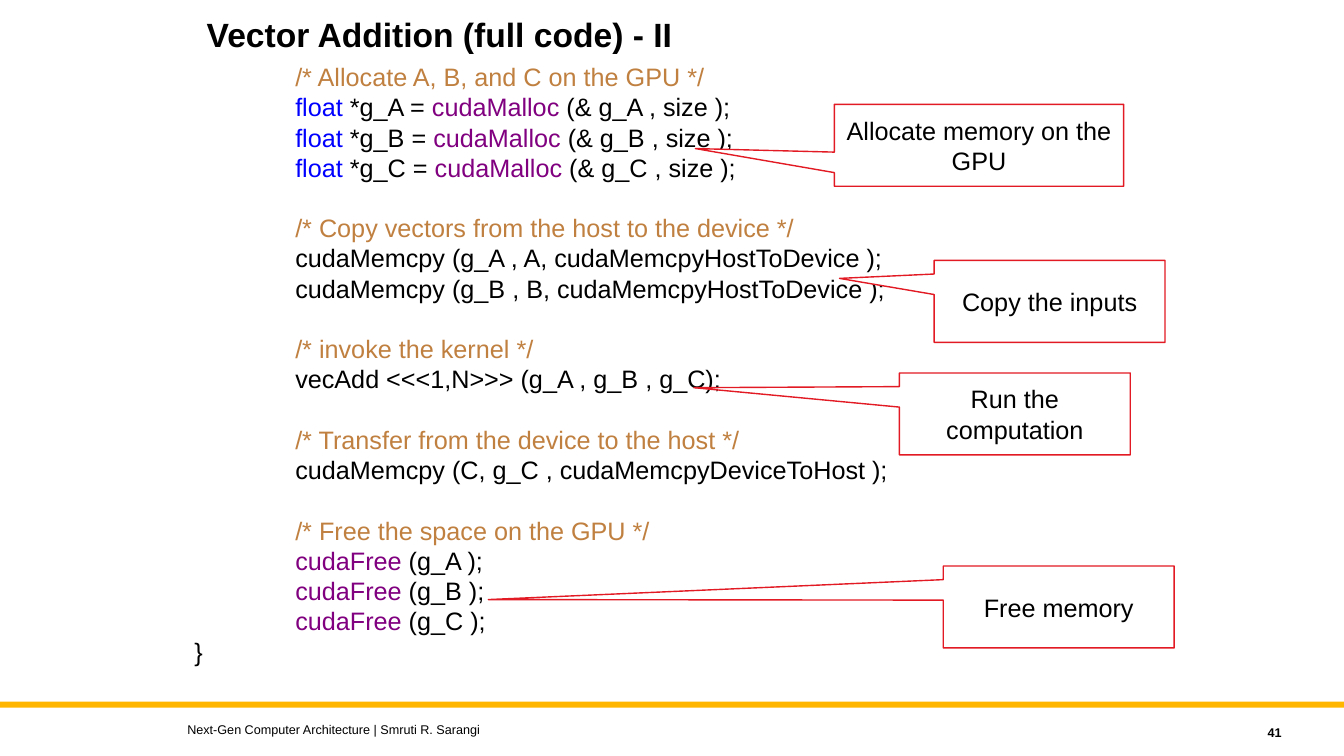
from lxml.etree import SubElement
from pptx import Presentation
from pptx.dml.color import RGBColor
from pptx.enum.shapes import MSO_SHAPE as Shape
from pptx.enum.text import MSO_ANCHOR as Anchor, MSO_AUTO_SIZE as AutoSize, PP_ALIGN as Align
from pptx.oxml.ns import qn
from pptx.util import Inches, Pt

BLACK = RGBColor(0x00, 0x00, 0x00)
WHITE = RGBColor(0xFF, 0xFF, 0xFF)
AMBER = RGBColor(0xFF, 0xB6, 0x00)
RED = RGBColor(0xE2, 0x1A, 0x23)
COMMENT = RGBColor(0xC0, 0x80, 0x40)
KEYWORD = RGBColor(0x00, 0x00, 0xFF)
FUNCTION = RGBColor(0x80, 0x00, 0x80)

CODE_LINE = 21.6
CODE_TAB = Inches(1)


def add_span(para, text, size=18, color=BLACK, bold=False, font="Arial"):
    span = para.add_run()
    span.text = text
    span.font.name = font
    span.font.size = Pt(size)
    span.font.bold = bold
    span.font.color.rgb = color


def add_tab_stop(para, position):
    stops = SubElement(para._p.get_or_add_pPr(), qn("a:tabLst"))
    SubElement(stops, qn("a:tab"), pos=str(position), algn="l")


class SlideBuilder:
    cell = Inches(0.1)

    def __init__(self, deck):
        self.page = deck.slides.add_slide(deck.slide_layouts[5])

    def grid(self, *lengths):
        return [round(length * self.cell) for length in lengths]

    def title(self, text, area):
        box = self.page.shapes.title
        box.left, box.top, box.width, box.height = self.grid(*area)
        frame = box.text_frame
        frame.word_wrap = True
        frame.auto_size = AutoSize.NONE
        frame.vertical_anchor = Anchor.TOP
        para = frame.paragraphs[0]
        para.alignment = Align.LEFT
        para.line_spacing = 0.9
        add_span(para, text, size=24, bold=True)

    def text_frame(self, area, anchor=Anchor.TOP):
        frame = self.page.shapes.add_textbox(*self.grid(*area)).text_frame
        frame.word_wrap = True
        frame.vertical_anchor = anchor
        return frame

    def label(self, text, area, align=Align.LEFT, **style):
        para = self.text_frame(area, Anchor.MIDDLE).paragraphs[0]
        para.alignment = align
        add_span(para, text, **style)

    def shape(self, kind, area, fill, line=None):
        box = self.page.shapes.add_shape(kind, *self.grid(*area))
        box.shadow.inherit = False
        box.fill.solid()
        box.fill.fore_color.rgb = fill
        if line is None:
            box.line.fill.background()
        else:
            box.line.color.rgb = line
            box.line.width = Pt(1)
        return box

    def callout(self, text, area, tip):
        box = self.shape(Shape.RECTANGULAR_CALLOUT, area, WHITE, RED)
        box.adjustments[0], box.adjustments[1] = tip
        frame = box.text_frame
        frame.word_wrap = True
        frame.vertical_anchor = Anchor.MIDDLE
        para = frame.paragraphs[0]
        para.alignment = Align.CENTER
        add_span(para, text)

    def code(self, blocks, closing, area):
        frame = self.text_frame(area)
        para = frame.paragraphs[0]
        for index, (comment, lines) in enumerate(blocks):
            if index:
                para.space_before = Pt(CODE_LINE)
            for line in [[(comment, COMMENT)], *lines]:
                add_tab_stop(para, CODE_TAB)
                add_span(para, "\t")
                for text, color in line:
                    add_span(para, text, color=color)
                para = frame.add_paragraph()
        add_span(para, closing)


def plain(text):
    return [(text, BLACK)]


def allocate(name):
    return [("float ", KEYWORD), (f"*g_{name} = ", BLACK),
            ("cudaMalloc ", FUNCTION), (f"(& g_{name} , size );", BLACK)]


def release(name):
    return [("cudaFree ", FUNCTION), (f"(g_{name} );", BLACK)]


VECTORS = "ABC"
BLOCKS = [
    ("/* Allocate A, B, and C on the GPU */", [allocate(name) for name in VECTORS]),
    ("/* Copy vectors from the host to the device */",
     [plain(f"cudaMemcpy (g_{name} , {name}, cudaMemcpyHostToDevice );") for name in "AB"]),
    ("/* invoke the kernel */", [plain("vecAdd <<<1,N>>> (g_A , g_B , g_C);")]),
    ("/* Transfer from the device to the host */",
     [plain("cudaMemcpy (C, g_C , cudaMemcpyDeviceToHost );")]),
    ("/* Free the space on the GPU */", [release(name) for name in VECTORS]),
]
CALLOUTS = [
    ("Allocate memory on the GPU", 82.75, 10.35, 28.7, (-0.98, 0.04)),
    ("Copy the inputs", 92.65, 25.83, 22.9, (-0.91, -0.28)),
    ("Run the computation", 89.2, 37, 22.9, (-1.39, -0.32)),
    ("Free memory", 93.55, 56.15, 22.9, (-2.47, -0.09)),
]
CALLOUT_HEIGHT = 8.13


def main():
    deck = Presentation()
    deck.slide_width, deck.slide_height = Inches(13.33), Inches(7.5)
    builder = SlideBuilder(deck)
    builder.shape(Shape.RECTANGLE, (0, 69.6, 133.3, 0.6), AMBER)
    builder.title("Vector Addition (full code) - II", (19.5, 1.3, 75, 9))
    builder.label("Next-Gen Computer Architecture | Smruti R. Sarangi",
                  (17.6, 71.15, 80, 2.5), size=9)
    builder.label("41", (114.1, 71.4, 14, 2.5), Align.RIGHT, size=9, bold=True)
    builder.code(BLOCKS, "}", (18.3, 5.6, 89.2, 61.6))
    for text, left, top, width, tip in CALLOUTS:
        builder.callout(text, (left, top, width, CALLOUT_HEIGHT), tip)
    deck.save("out.pptx")


if __name__ == "__main__":
    main()
